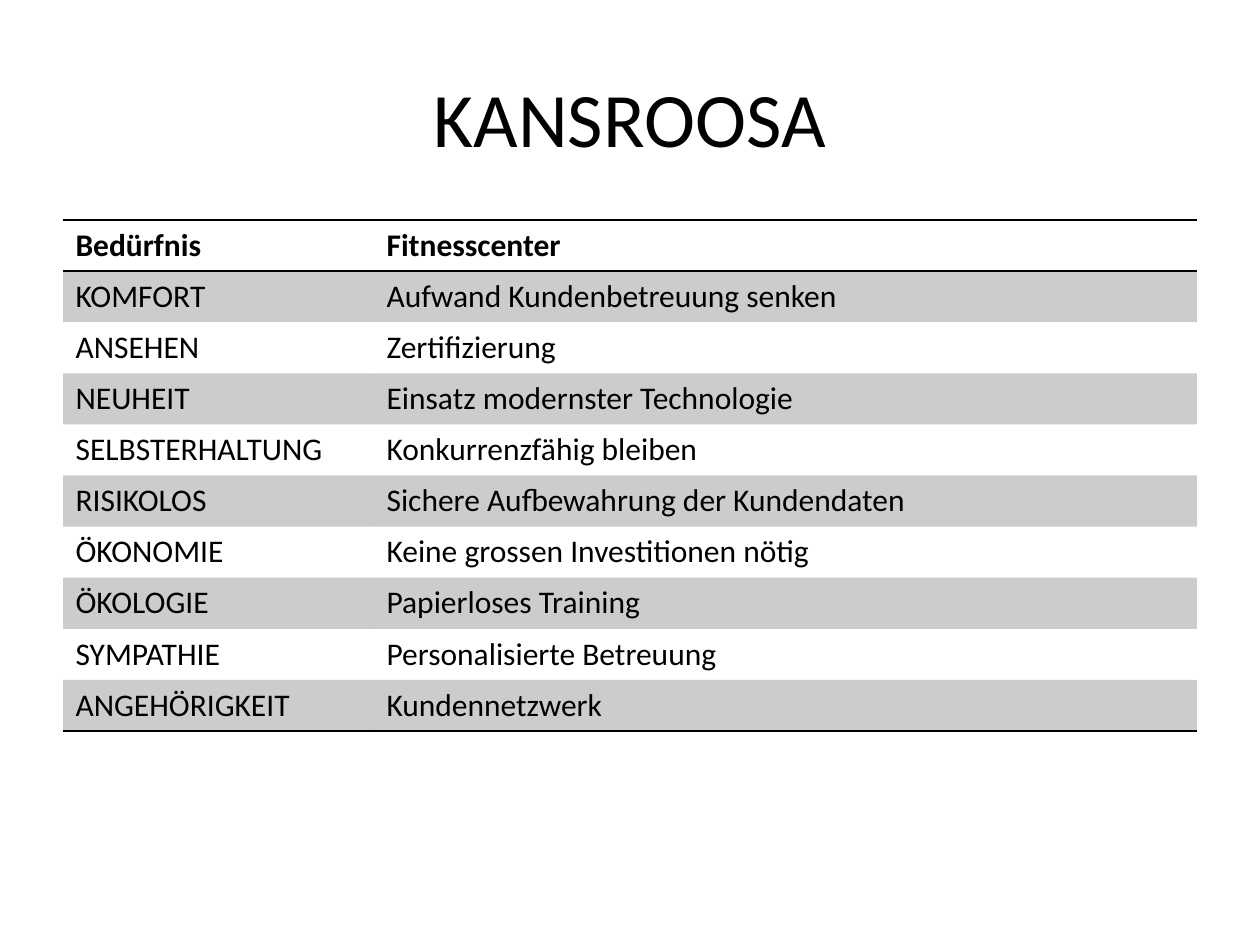
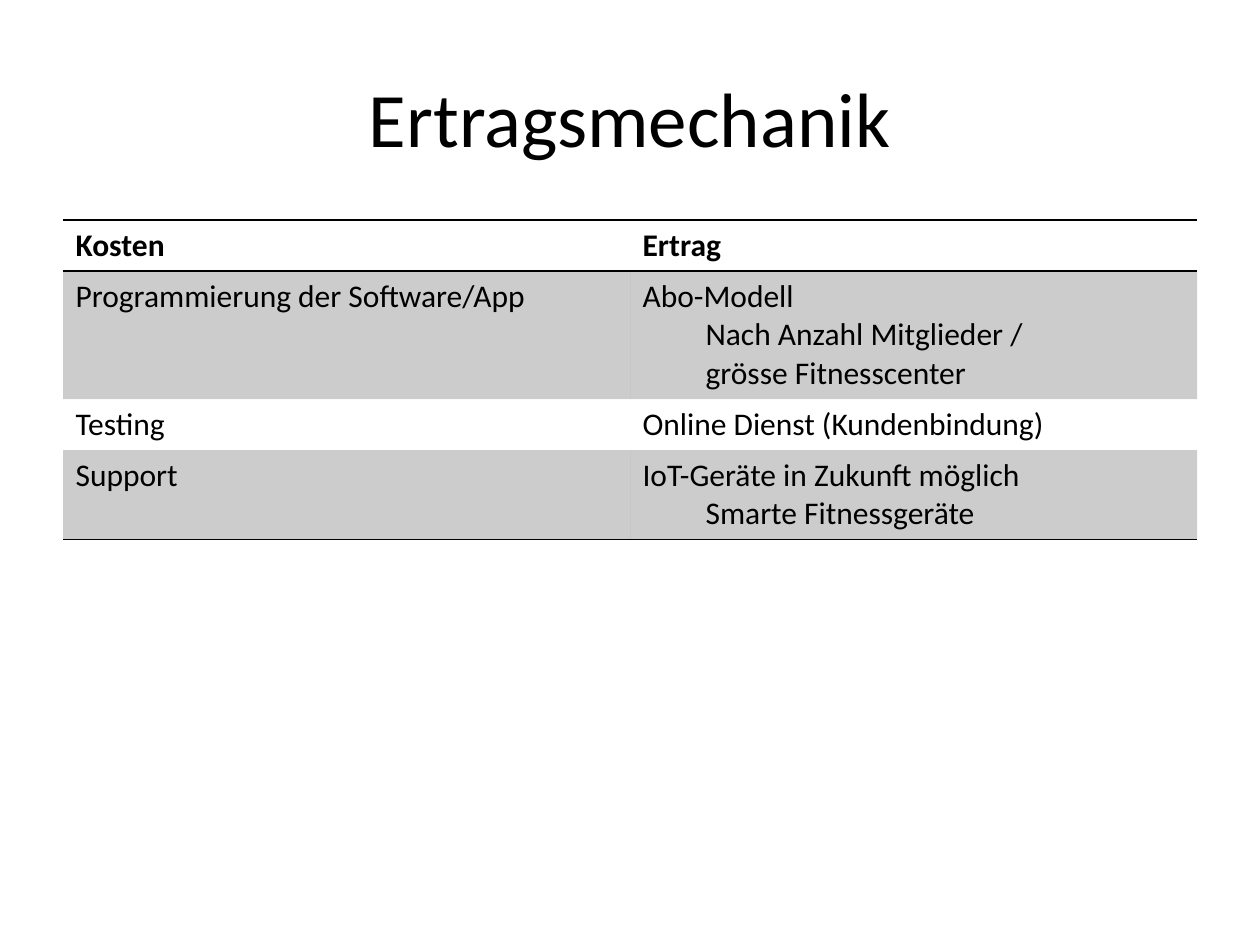
from dataclasses import dataclass

from lxml import etree
from pptx import Presentation
from pptx import util as u
from pptx.dml.color import RGBColor
from pptx.enum import text
from pptx.oxml import ns

EMU_PER_PX = 914400 / 126
TITLE_ONLY_LAYOUT = 5
PLAIN_TABLE_STYLE = "{2D5ABB26-0587-4C30-8999-92F81FD0307C}"


@dataclass(frozen=True)
class Theme:
    font: str = "Calibri"
    ink: str = "000000"
    band_opacity: int = 20  # percent
    title_size: int = 44
    body_size: int = 18
    rule_width: int = 1
    row_height: int = 51
    line_height: int = 38
    sub_indent: int = 63


THEME = Theme()
SLIDE_SIZE = (1260, 945)
TITLE_BOX = (63, 38, 1134, 157)
TABLE_BOX = (63, 220, 1134)  # the height follows from the rows

# A cell is a tuple of lines when it holds more than one; later lines are indented
NEEDS = [
    ("Bedürfnis", "Fitnesscenter"),
    ("KOMFORT", "Aufwand Kundenbetreuung senken"),
    ("ANSEHEN", "Zertifizierung"),
    ("NEUHEIT", "Einsatz modernster Technologie"),
    ("SELBSTERHALTUNG", "Konkurrenzfähig bleiben"),
    ("RISIKOLOS", "Sichere Aufbewahrung der Kundendaten"),
    ("ÖKONOMIE", "Keine grossen Investitionen nötig"),
    ("ÖKOLOGIE", "Papierloses Training"),
    ("SYMPATHIE", "Personalisierte Betreuung"),
    ("ANGEHÖRIGKEIT", "Kundennetzwerk"),
]
REVENUE = [
    ("Kosten", "Ertrag"),
    ("Programmierung der Software/App",
     ("Abo-Modell", "Nach Anzahl Mitglieder /", "grösse Fitnesscenter")),
    ("Testing", "Online Dienst (Kundenbindung)"),
    ("Support", ("IoT-Geräte in Zukunft möglich", "Smarte Fitnessgeräte")),
]


def px(length):
    return u.Emu(round(length * EMU_PER_PX))


def as_lines(content):
    return (content,) if isinstance(content, str) else content


def write(paragraph, words, size=THEME.body_size, bold=False,
          align=text.PP_ALIGN.LEFT, indent=0):
    run = paragraph.add_run()
    run.text = words
    run.font.name = THEME.font
    run.font.size = u.Pt(size)
    run.font.bold = bold
    run.font.color.rgb = RGBColor.from_string(THEME.ink)
    paragraph.alignment = align
    if indent:
        paragraph.level = 1
        properties = paragraph._p.get_or_add_pPr()
        properties.set("marL", str(px(indent)))
        properties.set("indent", "0")


def add_rule(cell, edge):
    """Draw a line on the cell's edge, lnT or lnB; call before filling."""
    line = etree.SubElement(cell._tc.get_or_add_tcPr(), ns.qn(f"a:{edge}"),
                            w=str(u.Pt(THEME.rule_width)))
    fill = etree.SubElement(line, ns.qn("a:solidFill"))
    etree.SubElement(fill, ns.qn("a:srgbClr"), val=THEME.ink)


def fill_band(cell):
    cell.fill.solid()
    cell.fill.fore_color.rgb = RGBColor.from_string(THEME.ink)
    color = cell._tc.tcPr.find(".//" + ns.qn("a:solidFill") + "[last()]")
    color = cell._tc.tcPr.find(ns.qn("a:solidFill"))[0]
    etree.SubElement(color, ns.qn("a:alpha"), val=str(THEME.band_opacity * 1000))


def add_title(slide, box, words):
    title = slide.shapes.title
    title.left, title.top, title.width, title.height = map(px, box)
    title.text_frame.vertical_anchor = text.MSO_ANCHOR.MIDDLE
    write(title.text_frame.paragraphs[0], words, size=THEME.title_size,
          align=text.PP_ALIGN.CENTER)


def add_banded_table(slide, box, rows, first_column):
    left, top, width = box
    heights = [THEME.row_height
               + THEME.line_height * (max(len(as_lines(c)) for c in row) - 1)
               for row in rows]
    table = slide.shapes.add_table(len(rows), 2, px(left), px(top), px(width),
                                   px(sum(heights))).table
    table.first_row = table.horz_banding = False
    table._tbl.tblPr.find(ns.qn("a:tableStyleId")).text = PLAIN_TABLE_STYLE
    for column, size in zip(table.columns, (first_column, width - first_column)):
        column.width = px(size)

    for row_index, row in enumerate(rows):
        table.rows[row_index].height = px(heights[row_index])
        is_header = row_index == 0
        for column_index, content in enumerate(row):
            cell = table.cell(row_index, column_index)
            # Rules above and below the header, and below the last row
            if is_header:
                add_rule(cell, "lnT")
            if is_header or row_index == len(rows) - 1:
                add_rule(cell, "lnB")
            # Every other body row is shaded
            if row_index % 2:
                fill_band(cell)
            else:
                cell.fill.background()
            for line_index, line in enumerate(as_lines(content)):
                frame = cell.text_frame
                paragraph = frame.add_paragraph() if line_index else frame.paragraphs[0]
                write(paragraph, line, bold=is_header,
                      indent=THEME.sub_indent if line_index else 0)


def add_table_slide(presentation, title, rows, first_column):
    slide = presentation.slides.add_slide(
        presentation.slide_layouts[TITLE_ONLY_LAYOUT])
    add_title(slide, TITLE_BOX, title)
    add_banded_table(slide, TABLE_BOX, rows, first_column)


def main():
    presentation = Presentation()
    presentation.slide_width, presentation.slide_height = map(px, SLIDE_SIZE)
    add_table_slide(presentation, "KANSROOSA", NEEDS, first_column=311)
    add_table_slide(presentation, "Ertragsmechanik", REVENUE, first_column=567)
    presentation.save("out.pptx")


if __name__ == "__main__":
    main()
